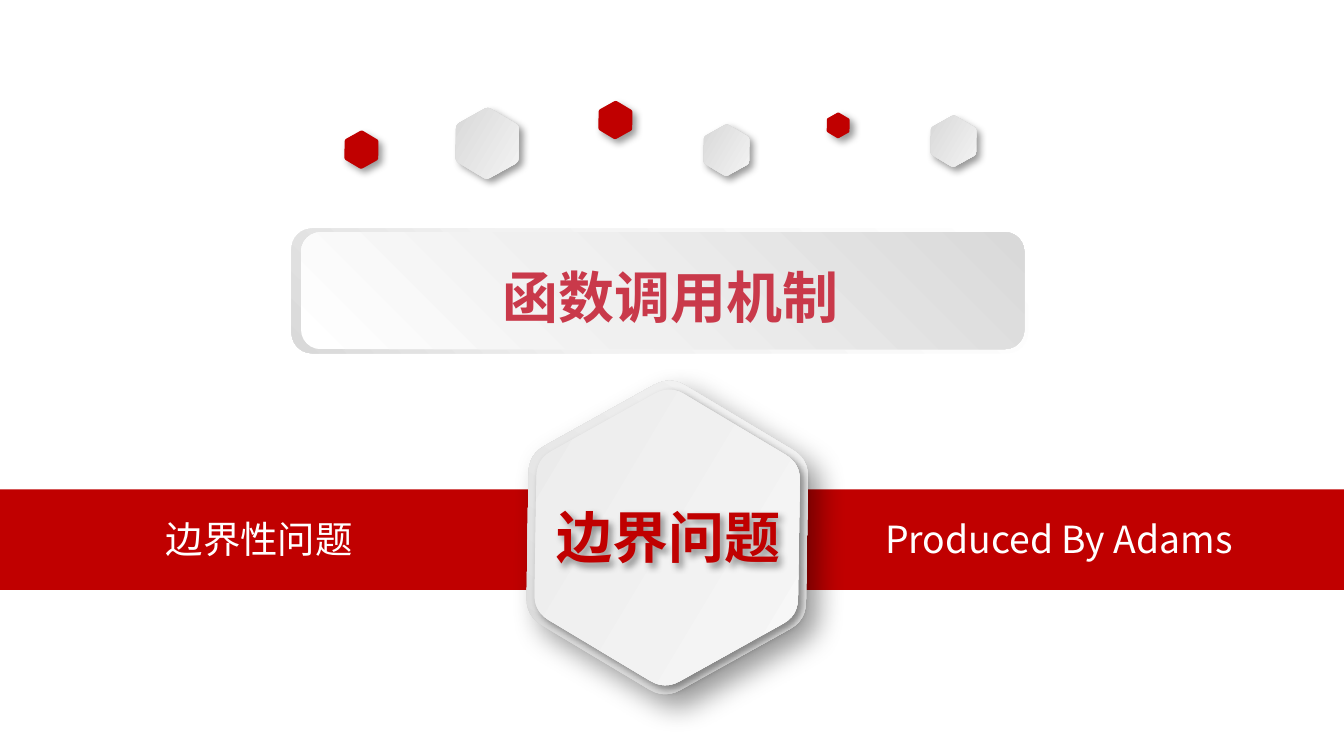
from dataclasses import dataclass
from math import cos, pi, sin, sqrt

from lxml import etree
from pptx import Presentation
from pptx.dml.color import RGBColor
from pptx.enum.shapes import MSO_SHAPE
from pptx.enum.text import MSO_ANCHOR, MSO_AUTO_SIZE, PP_ALIGN
from pptx.oxml.ns import qn
from pptx.util import Cm, Pt

RECTANGLE = MSO_SHAPE.RECTANGLE
ROUNDED = MSO_SHAPE.ROUNDED_RECTANGLE
CENTER, LEFT = PP_ALIGN.CENTER, PP_ALIGN.LEFT
TOP, MIDDLE = MSO_ANCHOR.TOP, MSO_ANCHOR.MIDDLE
GROW, FIXED = MSO_AUTO_SIZE.SHAPE_TO_FIT_TEXT, MSO_AUTO_SIZE.NONE
TITLE_ONLY = 5


@dataclass(frozen=True)
class Theme:
    font: str = "Noto Sans CJK SC"
    red: str = "C00000"
    title_red: str = "C9394A"
    white: str = "FFFFFF"
    black: str = "000000"
    silver: tuple = ((0, "D3D3D3"), (100, "F9F9F9"))
    pale: tuple = ((0, "E9E9E9"), (100, "F9F9F9"))
    panel_rim: tuple = ((0, "FFFFFF"), (62, "F2F2F2"), (100, "D9D9D9"))
    panel_face: tuple = ((0, "FFFFFF"), (42, "F0F0F0"), (100, "D9D9D9"))
    heading_size: int = 30
    label_size: int = 20


THEME = Theme()
HEXAGON_TILT = 30.9
CORNER_CUT = 0.11
CURVE_STEPS = 6
BADGE_CENTER = (12.61, 10.16)
SMALL_HEXAGONS = (
    (9.21, 2.71, 1.19, THEME.silver),
    (11.63, 2.27, 0.64, THEME.red),
    (6.83, 2.83, 0.64, THEME.red),
    (13.73, 2.84, 0.86, THEME.silver),
    (15.84, 2.37, 0.43, THEME.red),
    (18.02, 2.67, 0.86, THEME.silver),
)


def paint(shape, fill, angle=0):
    shape.shadow.inherit = False
    shape.line.fill.background()
    if isinstance(fill, str):
        shape.fill.solid()
        shape.fill.fore_color.rgb = RGBColor.from_string(fill)
        return
    shape.fill.gradient()
    shape.fill.gradient_angle = -angle % 360
    stops = shape._element.spPr.find(".//" + qn("a:gsLst"))
    for stop in list(stops):
        stops.remove(stop)
    for position, color in fill:
        stop = etree.SubElement(stops, qn("a:gs"), pos=str(position * 1000))
        etree.SubElement(stop, qn("a:srgbClr"), val=color)


def add_shadow(shape, blur=4, distance=3):
    shape.shadow.inherit = False
    effects = shape._element.spPr.find(qn("a:effectLst"))
    shadow = etree.SubElement(
        effects, qn("a:outerShdw"), blurRad=str(Pt(blur)), dist=str(Pt(distance)),
        dir=str(45 * 60000), algn="tl", rotWithShape="0")
    color = etree.SubElement(shadow, qn("a:srgbClr"), val=THEME.black)
    etree.SubElement(color, qn("a:alpha"), val="40000")


def add_box(shapes, kind, box, fill, angle=0):
    shape = shapes.add_shape(kind, *map(Cm, box))
    paint(shape, fill, angle)
    return shape


def rounded_hexagon(x, y, height):
    side = height / sqrt(3)
    corners = [(x + side * cos(k * pi / 3), y + side * sin(k * pi / 3))
               for k in range(6)]
    points = []
    for k, corner in enumerate(corners):
        start, end = (
            [c + CORNER_CUT * (n - c) for c, n in zip(corner, neighbour)]
            for neighbour in (corners[k - 1], corners[(k + 1) % 6]))
        for step in range(CURVE_STEPS + 1):
            t = step / CURVE_STEPS
            points.append(tuple(
                Cm((1 - t) ** 2 * s + 2 * t * (1 - t) * c + t ** 2 * e)
                for s, c, e in zip(start, corner, end)))
    return points


def add_hexagon(shapes, x, y, height, fill, angle=0, blur=4, distance=3):
    points = rounded_hexagon(x, y, height)
    outline = shapes.build_freeform(*points[0])
    outline.add_line_segments(points[1:], close=True)
    hexagon = outline.convert_to_shape()
    hexagon.rotation = HEXAGON_TILT
    paint(hexagon, fill, angle)
    add_shadow(hexagon, blur, distance)


def write_text(shape, text, *, size, color, bold=False, align=CENTER,
               anchor=TOP, fit=GROW):
    frame = shape.text_frame
    frame.word_wrap = True
    frame.auto_size = fit
    frame.vertical_anchor = anchor
    paragraph = frame.paragraphs[0]
    paragraph.alignment = align
    run = paragraph.add_run()
    run.text = text
    run.font.size = Pt(size)
    run.font.bold = bold
    run.font.color.rgb = RGBColor.from_string(color)
    run.font.name = THEME.font
    etree.SubElement(run.font._element, qn("a:ea"), typeface=THEME.font)


def add_label(shapes, box, text, **style):
    label = shapes.add_textbox(*map(Cm, box))
    write_text(label, text, size=THEME.label_size, color=THEME.white, **style)


def add_title(shapes, box, text):
    title = shapes.title
    title.left, title.top, title.width, title.height = map(Cm, box)
    write_text(title, text, size=THEME.heading_size, color=THEME.title_red, bold=True)
    shapes._spTree.append(title._element)


def add_badge(shapes):
    badge = shapes.add_group_shape().shapes
    add_hexagon(badge, *BADGE_CENTER, 5.28, THEME.silver, angle=270, blur=15, distance=9)
    add_hexagon(badge, *BADGE_CENTER, 4.98, THEME.pale)


def add_title_panel(shapes):
    panel = shapes.add_group_shape().shapes
    add_box(panel, ROUNDED, (5.51, 4.32, 13.92, 2.36), THEME.panel_rim, 135)
    add_box(panel, ROUNDED, (5.69, 4.39, 13.67, 2.21), THEME.panel_face, 315)


def add_badge_caption(shapes, box, text):
    caption = shapes.add_shape(ROUNDED, *map(Cm, box))
    caption.fill.background()
    caption.line.fill.background()
    add_shadow(caption)
    write_text(caption, text, size=THEME.heading_size, color=THEME.red,
               bold=True, anchor=MIDDLE, fit=FIXED)


def main():
    deck = Presentation()
    deck.slide_width, deck.slide_height = Cm(25.4), Cm(14.29)
    shapes = deck.slides.add_slide(deck.slide_layouts[TITLE_ONLY]).shapes
    add_box(shapes, RECTANGLE, (0, 9.25, 25.4, 1.9), THEME.red)
    add_label(shapes, (0.43, 9.63, 8.94, 1.12), "边界性问题")
    add_label(shapes, (16.48, 9.63, 8.89, 1.12), "Produced By Adams", align=LEFT)
    for x, y, height, fill in SMALL_HEXAGONS:
        add_hexagon(shapes, x, y, height, fill)
    add_badge(shapes)
    add_title_panel(shapes)
    add_title(shapes, (5.72, 4.83, 13.92, 1.52), "函数调用机制")
    add_badge_caption(shapes, (10.13, 9.5, 5, 1.27), "边界问题")
    deck.save("out.pptx")


if __name__ == "__main__":
    main()
